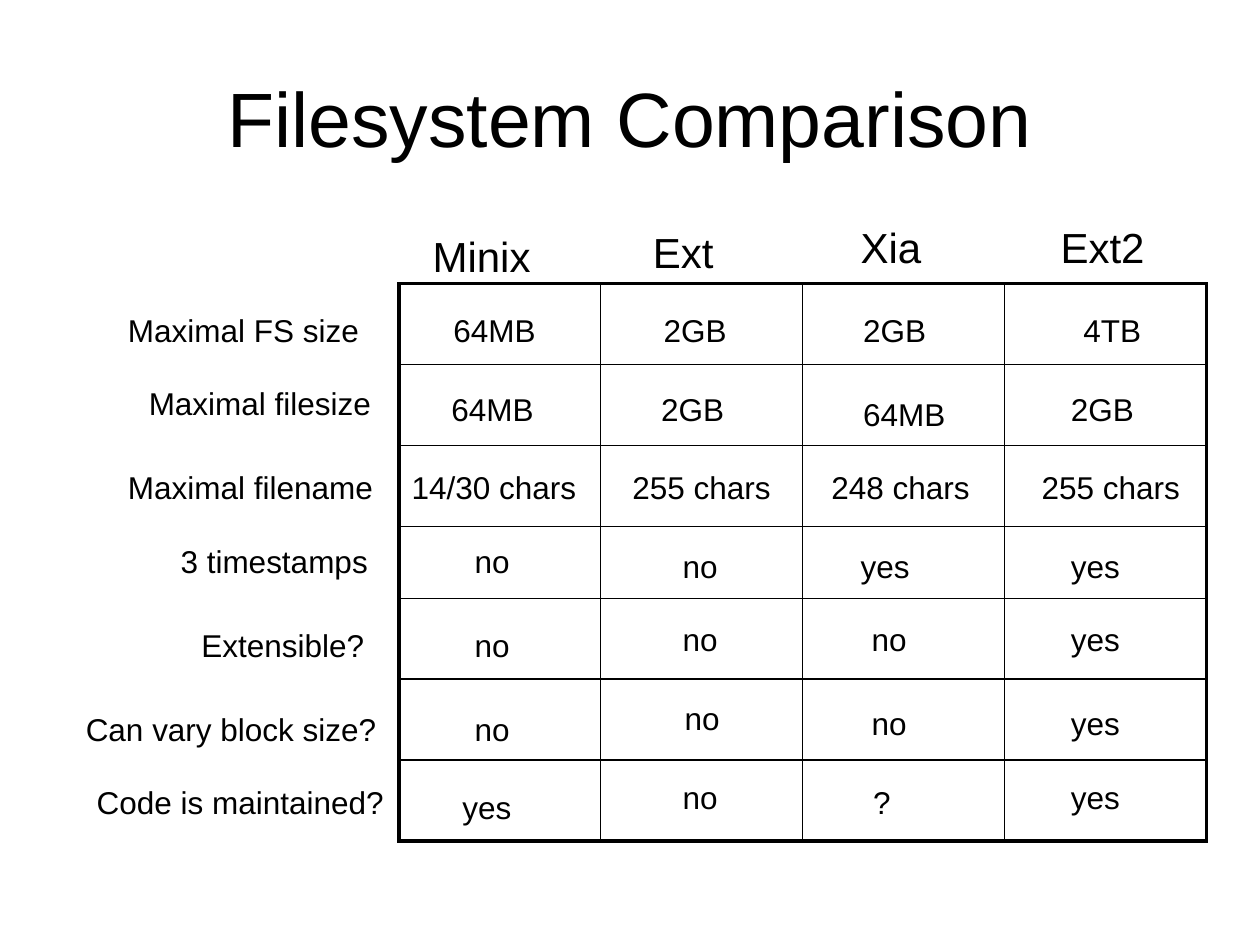
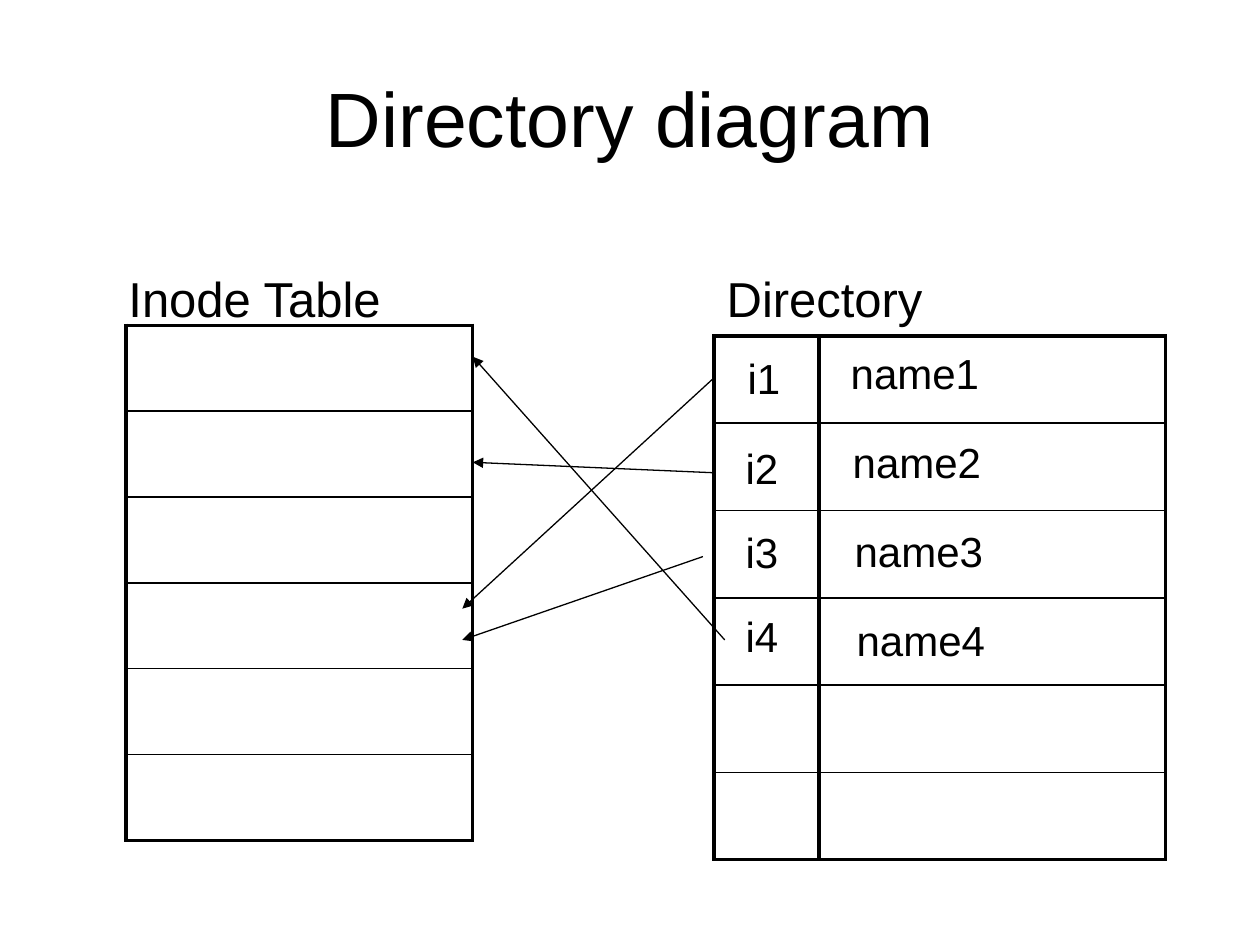
from lxml import etree
from pptx import Presentation
from pptx.dml.color import RGBColor
from pptx.enum.shapes import MSO_CONNECTOR
from pptx.enum.text import MSO_ANCHOR, PP_ALIGN
from pptx.oxml.ns import qn
from pptx.util import Cm, Pt

STRAIGHT = MSO_CONNECTOR.STRAIGHT
CENTER = PP_ALIGN.CENTER
MIDDLE = MSO_ANCHOR.MIDDLE

BLACK = RGBColor(0, 0, 0)
FONT = "Arial"
OUTER_LINE, INNER_LINE, ARROW_LINE = Pt(2.25), Pt(1), Pt(0.75)
TITLE_SIZE, HEADING_SIZE, ENTRY_SIZE, BODY_SIZE = 44, 28, 24, 18
BOX_HEIGHTS = {HEADING_SIZE: 1.45, ENTRY_SIZE: 1.27, BODY_SIZE: 1.02}

# Texts are (text, left, top); all lengths are in centimetres.
FILESYSTEMS = [
    ("Minix", 8.47, 4.52), ("Ext", 12.91, 4.45),
    ("Xia", 17.1, 4.34), ("Ext2", 21.13, 4.34),
]
FEATURES = [
    [("Maximal FS size", 2.33, 6.15), ("64MB", 8.89, 6.15), ("2GB", 13.13, 6.15),
     ("2GB", 17.15, 6.15), ("4TB", 21.59, 6.15)],
    [("Maximal filesize", 2.75, 7.62), ("64MB", 8.85, 7.73), ("2GB", 13.08, 7.73),
     ("64MB", 17.15, 7.83), ("2GB", 21.34, 7.73)],
    [("Maximal filename", 2.33, 9.32), ("14/30 chars", 8.05, 9.32),
     ("255 chars", 12.5, 9.32), ("248 chars", 16.51, 9.32), ("255 chars", 20.75, 9.32)],
    [("3 timestamps", 3.39, 10.8), ("no", 9.32, 10.8), ("no", 13.51, 10.9),
     ("yes", 17.1, 10.9), ("yes", 21.34, 10.9)],
    [("Extensible?", 3.81, 12.5), ("no", 9.32, 12.5), ("no", 13.51, 12.37),
     ("no", 17.32, 12.37), ("yes", 21.34, 12.37)],
    [("Can vary block size?", 1.48, 14.18), ("no", 9.32, 14.18), ("no", 13.55, 13.97),
     ("no", 17.32, 14.07), ("yes", 21.34, 14.07)],
    [("Code is maintained?", 1.7, 15.67), ("yes", 9.07, 15.77), ("no", 13.51, 15.56),
     ("?", 17.35, 15.67), ("yes", 21.34, 15.56)],
]
FEATURE_ROWS = [1.63] * 3 + [1.45] + [1.63] * 3

DIAGRAM_HEADINGS = [("Inode Table", 2.34, 5.28), ("Directory", 14.4, 5.28)]
DIRECTORY_ENTRIES = [
    ("i1", 14.82, 6.99), ("i2", 14.78, 8.79), ("i3", 14.78, 10.49), ("i4", 14.78, 12.18),
    ("name1", 16.9, 6.88), ("name2", 16.94, 8.68),
    ("name3", 16.98, 10.46), ("name4", 17.02, 12.27),
]
# left, top, column width, row height
DIAGRAM_TABLES = [
    (2.54, 6.56, 6.98, 1.73),
    (14.39, 6.77, 2.12, 1.76),
    (16.51, 6.77, 6.98, 1.76),
]
DIAGRAM_ROW_COUNT = 6
INODE_ARROWS = [
    ((14.61, 12.9), (9.53, 7.19)),
    ((14.17, 11.22), (9.32, 12.9)),
    ((14.39, 9.53), (9.53, 9.32)),
    ((14.39, 7.62), (9.32, 12.27)),
]

# Slightly wider than the words, so that every label stays on one line.
BOX_WIDTHS = {
    "Minix": 2.55, "Ext": 1.8, "Xia": 1.8, "Ext2": 2.3,
    "Maximal FS size": 5.25, "Maximal filesize": 5.1, "Maximal filename": 5.55,
    "3 timestamps": 4.4, "Extensible?": 3.95, "Can vary block size?": 6.5,
    "Code is maintained?": 6.4, "64MB": 2.25, "2GB": 1.85, "4TB": 1.75,
    "14/30 chars": 3.95, "255 chars": 3.4, "248 chars": 3.4,
    "no": 1.3, "yes": 1.6, "?": 0.95,
    "Inode Table": 5.8, "Directory": 4.55,
    "i1": 1.52, "i2": 1.25, "i3": 1.25, "i4": 1.25,
    "name1": 3.2, "name2": 3.2, "name3": 3.2, "name4": 3.2,
}


def add_text(slide, text, left, top, width, height, size):
    shape = slide.shapes.add_textbox(Cm(left), Cm(top), Cm(width), Cm(height))
    paragraph = shape.text_frame.paragraphs[0]
    run = paragraph.add_run()
    run.text = text
    for name, value in {"name": FONT, "size": Pt(size)}.items():
        setattr(run.font, name, value)
    run.font.color.rgb = BLACK
    return shape


def add_labels(slide, labels, size):
    for text, left, top in labels:
        shape = add_text(slide, text, left, top, BOX_WIDTHS[text], BOX_HEIGHTS[size], size)
        shape.text_frame.word_wrap = True


def add_titled_slide(presentation, title):
    slide = presentation.slides.add_slide(presentation.slide_layouts[6])
    shape = add_text(slide, title, 1.27, 0.76, 22.86, 3.18, TITLE_SIZE)
    shape.text_frame.word_wrap = True
    shape.text_frame.vertical_anchor = MIDDLE
    shape.text_frame.paragraphs[0].alignment = CENTER
    return slide


def set_border(cell, side, width):
    properties = cell._tc.get_or_add_tcPr()
    line = etree.SubElement(properties, qn(f"a:ln{side}"), w=str(width))
    fill = etree.SubElement(line, qn("a:solidFill"))
    etree.SubElement(fill, qn("a:srgbClr"), val=str(BLACK))


def add_grid(slide, left, top, column_widths, row_heights):
    """Add an empty table with a heavy frame and thin inner lines."""
    column_count, row_count = len(column_widths), len(row_heights)
    table = slide.shapes.add_table(
        row_count, column_count, Cm(left), Cm(top),
        Cm(sum(column_widths)), Cm(sum(row_heights))).table
    table.first_row = table.horz_banding = False
    for column, width in zip(table.columns, column_widths):
        column.width = Cm(width)
    for row, height in zip(table.rows, row_heights):
        row.height = Cm(height)
    for row in range(row_count):
        for column in range(column_count):
            cell = table.cell(row, column)
            on_frame = {
                "L": column == 0, "R": column == column_count - 1,
                "T": row == 0, "B": row == row_count - 1,
            }
            for side, heavy in on_frame.items():
                set_border(cell, side, OUTER_LINE if heavy else INNER_LINE)
            cell.fill.background()


def add_arrow(slide, start, end):
    connector = slide.shapes.add_connector(
        STRAIGHT, *(Cm(value) for value in start + end))
    connector.line.color.rgb = BLACK
    connector.line.width = ARROW_LINE
    etree.SubElement(connector.line._get_or_add_ln(), qn("a:tailEnd"), type="triangle")
    etree.SubElement(connector._element.spPr, qn("a:effectLst"))


def build_comparison(presentation):
    slide = add_titled_slide(presentation, "Filesystem Comparison")
    add_grid(slide, 8.04, 5.72, [4.07] * len(FILESYSTEMS), FEATURE_ROWS)
    add_labels(slide, FILESYSTEMS, ENTRY_SIZE)
    for feature in FEATURES:
        add_labels(slide, feature, BODY_SIZE)


def build_directory_diagram(presentation):
    slide = add_titled_slide(presentation, "Directory diagram")
    for left, top, width, row_height in DIAGRAM_TABLES:
        add_grid(slide, left, top, [width], [row_height] * DIAGRAM_ROW_COUNT)
    add_labels(slide, DIAGRAM_HEADINGS, HEADING_SIZE)
    add_labels(slide, DIRECTORY_ENTRIES, ENTRY_SIZE)
    for start, end in INODE_ARROWS:
        add_arrow(slide, start, end)


def main():
    presentation = Presentation()
    presentation.slide_width, presentation.slide_height = Cm(25.4), Cm(19.05)
    build_comparison(presentation)
    build_directory_diagram(presentation)
    presentation.save("out.pptx")


if __name__ == "__main__":
    main()
